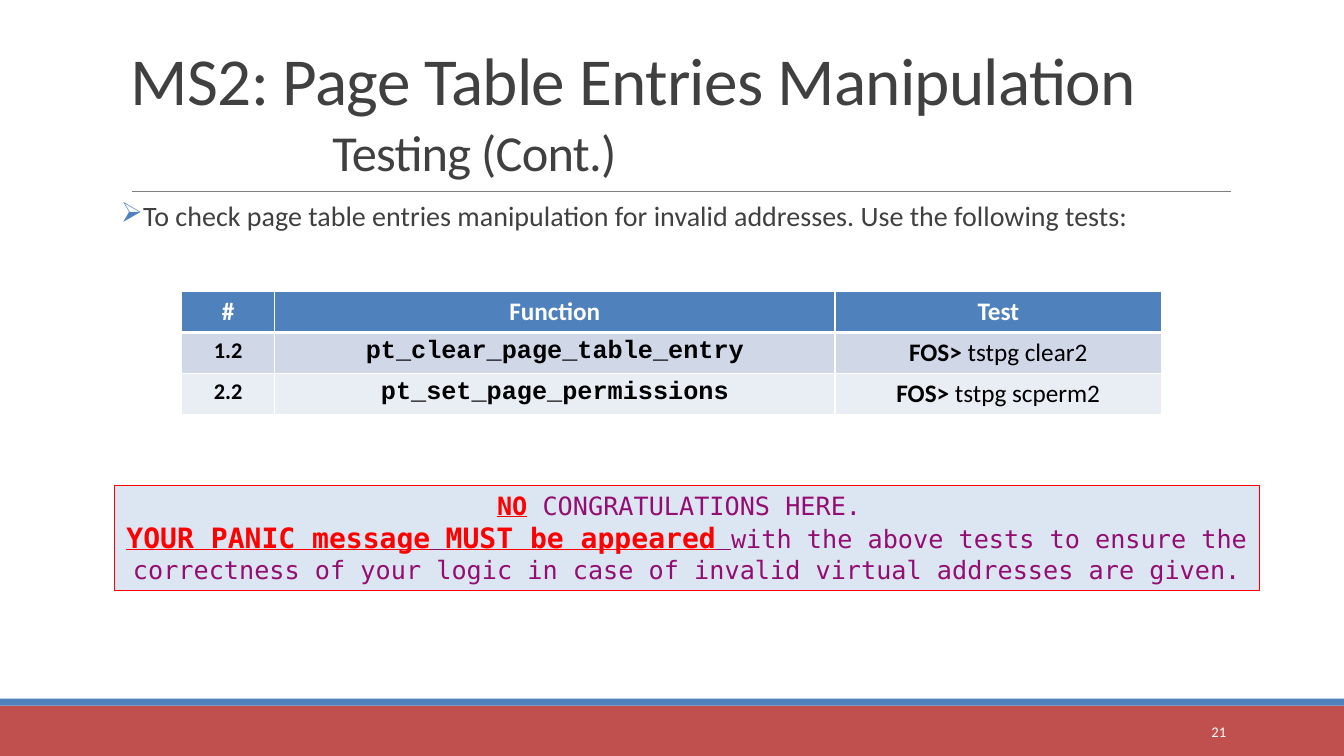
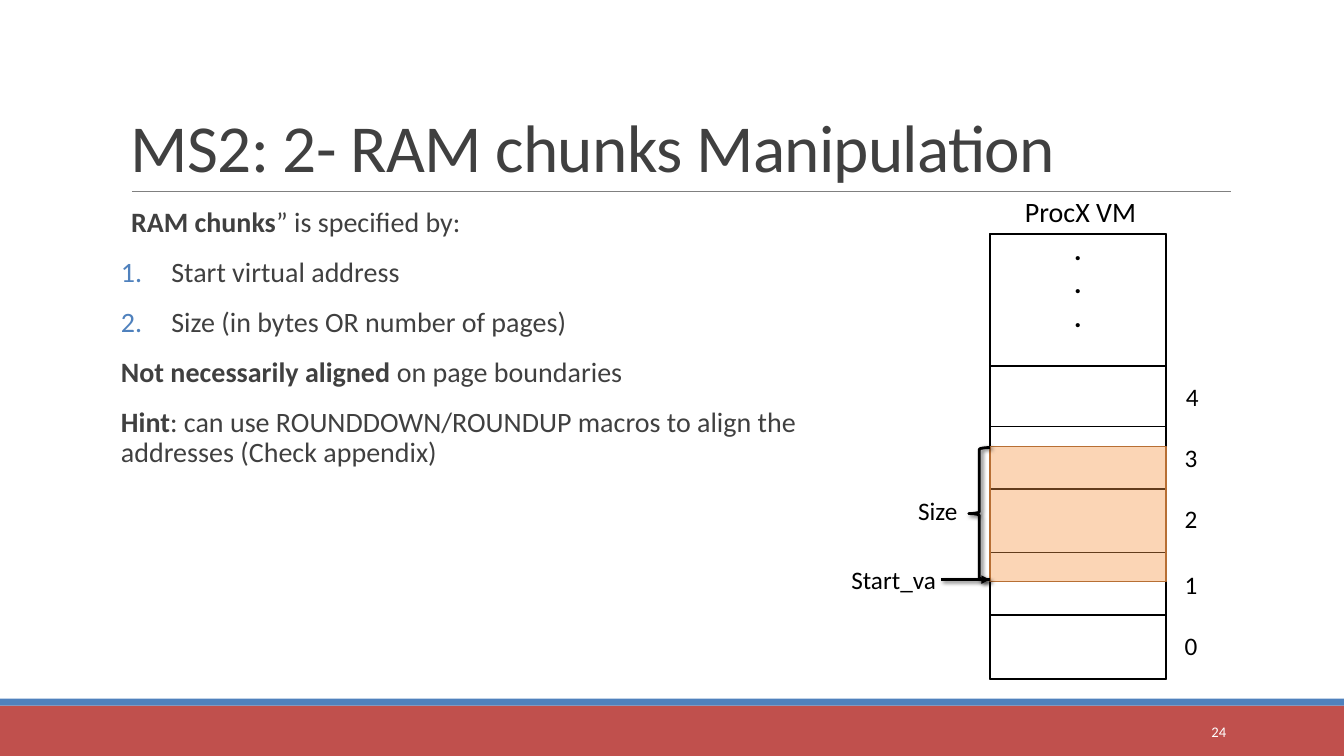
from dataclasses import dataclass, field
from typing import Any, NamedTuple

from lxml.etree import SubElement
from pptx import Presentation
from pptx.dml.color import RGBColor as Rgb
from pptx.enum.shapes import MSO_CONNECTOR as Link, MSO_SHAPE as Form
from pptx.enum.text import MSO_ANCHOR as Anchor, MSO_AUTO_SIZE as Fit, PP_ALIGN as Align
from pptx.oxml.ns import qn
from pptx.util import Pt

INK = {
    "red": "C0504D", "blue": "4F81BD", "rule": "808080", "text": "404040",
    "white": "FFFFFF", "black": "000000", "alert": "FF0000", "plum": "930D72",
    "pale": "DCE6F2", "odd": "D0D8E8", "even": "E9EDF4",
    "chunk": "F79646", "edge": "B76F34",
}
SANS, CODE, MONO = "Calibri", "Courier New", "DejaVu Sans Mono"
PAD = (7.2, 3.6, 7.2, 3.6)
SLIM = (0, 3.6, 0, 3.6)


class Area(NamedTuple):
    left: float
    top: float
    width: float
    height: float


class Bit(NamedTuple):
    """A stretch of text with its own format."""
    text: str
    style: dict[str, Any] = {}


@dataclass
class Line:
    """A paragraph: its bits, margin, hanging indent and bullet."""
    bits: list[Bit]
    margin: float = 0
    hang: float = 0
    mark: str = ""
    style: dict[str, Any] = field(default_factory=dict)


class Page(NamedTuple):
    name: str
    top: float
    label: Area


# Shared drawing tools

def tint(name: str) -> Rgb:
    return Rgb.from_string(INK[name])


def write(para, text: str, *, size: float = 18, color: str = "black", font: str = SANS,
          bold: bool = False, under: bool = False, track: float = 0) -> None:
    run = para.add_run()
    run.text = text
    face = run.font
    face.name, face.size, face.bold, face.underline = font, Pt(size), bold, under
    face.color.rgb = tint(color)
    if track:
        run._r.get_or_add_rPr().set("spc", str(round(track * 100)))


def setup(frame, pad=PAD, anchor=Anchor.TOP, wrap: bool = True) -> None:
    frame.auto_size = Fit.NONE if wrap else Fit.SHAPE_TO_FIT_TEXT
    frame.word_wrap = wrap
    frame.vertical_anchor = anchor
    sides = ("margin_left", "margin_top", "margin_right", "margin_bottom")
    for side, gap in zip(sides, pad):
        setattr(frame, side, Pt(gap))


def indent(para, margin: float, hang: float = 0, mark: str = "") -> None:
    props = para._p.get_or_add_pPr()
    props.set("marL", str(Pt(margin)))
    props.set("indent", str(Pt(-hang)))
    if mark:
        color = SubElement(props, qn("a:buClr"))
        SubElement(color, qn("a:srgbClr"), val=INK["blue"])
        if mark == "1.":
            SubElement(props, qn("a:buAutoNum"), type="arabicPeriod")
        else:
            SubElement(props, qn("a:buChar"), char=mark)


def fill(frame, lines: list[Line], align=Align.LEFT, pitch: float = 1,
         before: float = 0, after: float = 0, **base) -> None:
    for i, line in enumerate(lines):
        para = frame.add_paragraph() if i else frame.paragraphs[0]
        para.alignment, para.line_spacing = align, pitch
        para.space_before = Pt(line.style.get("before", before))
        para.space_after = Pt(after)
        indent(para, line.margin, line.hang, line.mark)
        for bit in line.bits:
            write(para, bit.text, **{**base, **bit.style})


def label(slide, area: Area, lines: list[Line] | str, pad=PAD, anchor=Anchor.TOP,
          wrap: bool = True, **style) -> None:
    frame = slide.shapes.add_textbox(*map(Pt, area)).text_frame
    setup(frame, pad, anchor, wrap)
    if isinstance(lines, str):
        lines = [Line([Bit(lines)])]
    fill(frame, lines, **style)


def block(slide, area: Area, color: str | None, edge: str | None = None,
          weight: float = 1.25, form=Form.RECTANGLE, alpha: int = 100):
    shape = slide.shapes.add_shape(form, *map(Pt, area))
    shape.shadow.inherit = False
    if color:
        shape.fill.solid()
        shape.fill.fore_color.rgb = tint(color)
        if alpha < 100:
            dye = shape._element.spPr.find(qn("a:solidFill"))[0]
            SubElement(dye, qn("a:alpha"), val=str(alpha * 1000))
    else:
        shape.fill.background()
    if edge:
        shape.line.color.rgb = tint(edge)
        shape.line.width = Pt(weight)
    else:
        shape.line.fill.background()
    return shape


def stroke(slide, start: tuple, end: tuple, color: str, weight: float, arrow: bool = False):
    line = slide.shapes.add_connector(Link.STRAIGHT, *map(Pt, (*start, *end)))
    line.line.color.rgb = tint(color)
    line.line.width = Pt(weight)
    if arrow:
        SubElement(line.line._get_or_add_ln(), qn("a:tailEnd"), type="triangle")
    SubElement(line._element.spPr, qn("a:effectLst"))
    return line


def shade(shape) -> None:
    effects = shape._element.spPr.find(qn("a:effectLst"))
    cast = SubElement(effects, qn("a:outerShdw"), blurRad=str(Pt(3)), dist=str(Pt(2)),
                      dir=str(45 * 60000), rotWithShape="0")
    color = SubElement(cast, qn("a:srgbClr"), val=INK["black"])
    SubElement(color, qn("a:alpha"), val="60000")


def start(deck, title: list[Line], number: int, width: float = 792, foot: float = 3.6):
    """Add a slide with bands, rule, title and number."""
    slide = deck.slides.add_slide(deck.slide_layouts[6])
    block(slide, Area(0, 504, 960, 36), "red")
    block(slide, Area(0, 499, 960, 5), "blue")
    stroke(slide, (94.3, 136.8), (879, 136.8), "rule", 0.5)
    label(slide, Area(86.4, 22.3, width, 114.5), title, (7.2, 3.6, 7.2, foot),
          Anchor.BOTTOM, pitch=0.85, size=48, color="text", track=-0.5)
    label(slide, Area(780, 508.3, 103, 28.8), str(number), anchor=Anchor.MIDDLE,
          align=Align.RIGHT, size=10.5, color="white")
    return slide


def body(slide, area: Area, lines: list[Line]) -> None:
    label(slide, area, lines, SLIM, pitch=0.9, before=12, after=2, size=20, color="text")


# Slide with the test table

def border(cell, side: str, weight: float) -> None:
    line = SubElement(cell._tc.get_or_add_tcPr(), qn(f"a:ln{side}"), w=str(Pt(weight)))
    color = SubElement(line, qn("a:solidFill"))
    SubElement(color, qn("a:srgbClr"), val=INK["white"])


def grid(slide, area: Area, widths: tuple, rows: list[list[list[Bit]]]) -> None:
    table = slide.shapes.add_table(len(rows), len(widths), *map(Pt, area)).table
    table.horz_banding = False
    for col, width in zip(table.columns, widths):
        col.width = Pt(width)
    for i, row in enumerate(rows):
        table.rows[i].height = Pt(area.height / len(rows))
        for j, bits in enumerate(row):
            cell = table.cell(i, j)
            for side in "LRTB":
                thick = (i, side) in ((0, "B"), (1, "T"))
                border(cell, side, 3 if thick else 1)
            cell.fill.solid()
            cell.fill.fore_color.rgb = tint(("blue", "odd", "even")[i])
            fill(cell.text_frame, [Line(bits)], Align.CENTER, bold=True,
                 color="black" if i else "white")


def tests(deck) -> None:
    title = [Line([Bit("MS2: Page Table Entries Manipulation")]),
             Line([Bit("Testing (Cont.)", {"size": 36})], margin=144, style={"before": 8.5})]
    slide = start(deck, title, 21, foot=6.6)
    body(slide, Area(86.4, 141, 792, 317), [Line([Bit(
        "To check page table entries manipulation for invalid addresses. "
        "Use the following tests:")], 7.2, 7.2, "➢")])

    cases = [("1.2", "pt_clear_page_table_entry", "tstpg clear2"),
             ("2.2", "pt_set_page_permissions", "tstpg scperm2")]
    rows = [[[Bit(name)] for name in ("#", "Function", "Test")]]
    rows += [[[Bit(no, {"size": 16})], [Bit(func, {"font": CODE})],
              [Bit("FOS> "), Bit(test, {"bold": False})]] for no, func, test in cases]
    grid(slide, Area(129.8, 208.3, 700, 87.6), (66.4, 400.2, 233.4), rows)

    # Warning box
    loud = {"color": "alert", "bold": True, "under": True}
    big = {**loud, "size": 20}
    gap = Bit(" ", {"under": True})
    note = block(slide, Area(81.5, 346.6, 818, 75), "pale", "alert", 0.75)
    setup(note.text_frame)
    fill(note.text_frame, [
        Line([Bit("NO", loud), Bit(" CONGRATULATIONS HERE. ")]),
        Line([Bit("YOUR PANIC message", big), gap, Bit("MUST be appeared", big), gap,
              Bit("with the above tests to ensure the correctness of your logic "
                  "in case of invalid virtual addresses are given.")]),
    ], Align.CENTER, font=MONO, color="plum")


# Slide with the memory map

LEFT, WIDE, TALL = 707, 126, 45.4
PAGES = [
    Page("4", 261.4, Area(840, 268.6, 24, 29)),
    Page("3", 304.6, Area(839, 312.5, 24, 29)),
    Page("2", 349.2, Area(839, 355.7, 24, 29)),
    Page("1", 394.6, Area(839, 403.2, 24, 29)),
    Page("0", 439.4, Area(839, 446.4, 24, 29)),
]


def chunks(deck) -> None:
    slide = start(deck, [Line([Bit("MS2: 2- RAM chunks Manipulation")])], 24, width=873)
    bold = {"bold": True}
    body(slide, Area(86.4, 145.4, 533.5, 234), [
        Line([Bit("RAM chunks", bold), Bit("” is specified by:")], 7.2),
        Line([Bit("Start virtual address")], 36, 36, "1."),
        Line([Bit("Size (in bytes OR number of pages)")], 36, 36, "1."),
        Line([Bit("Not necessarily aligned ", bold), Bit("on page boundaries")]),
        Line([Bit("Hint", bold), Bit(": can use ROUNDDOWN/ROUNDUP macros to align the "
                                     "addresses (Check appendix)")]),
    ])

    # Memory column and its pages
    block(slide, Area(LEFT, 167, WIDE, 318), "white", "black")
    label(slide, Area(725, 135.4, 111.6, 31.7), "ProcX VM", size=20)
    for page in PAGES:
        block(slide, Area(LEFT, page.top, WIDE, TALL), "white", "black")
        label(slide, page.label, page.name, wrap=False)
    rest = block(slide, Area(LEFT, 167, WIDE, 94.4), "white", "black")
    setup(rest.text_frame, (0, 0, 0, 24.4), Anchor.MIDDLE)
    fill(rest.text_frame, [Line([Bit(".")]) for _ in range(3)], Align.CENTER,
         size=20, bold=True)

    # Chunk with its start and size
    block(slide, Area(LEFT, 319, WIDE, 96.5), "chunk", "edge", alpha=40)
    shade(stroke(slide, (672, 414), (LEFT, 414), "black", 2, arrow=True))
    label(slide, Area(601, 399.6, 75.6, 29), "Start_va", wrap=False)
    shade(block(slide, Area(692, 319.7, 15, 94.3), None, "black", 2, Form.LEFT_BRACE))
    label(slide, Area(648.7, 350, 43.2, 29), "Size", wrap=False)


def main() -> None:
    deck = Presentation()
    deck.slide_width, deck.slide_height = Pt(960), Pt(540)
    tests(deck)
    chunks(deck)
    deck.save("out.pptx")


if __name__ == "__main__":
    main()
